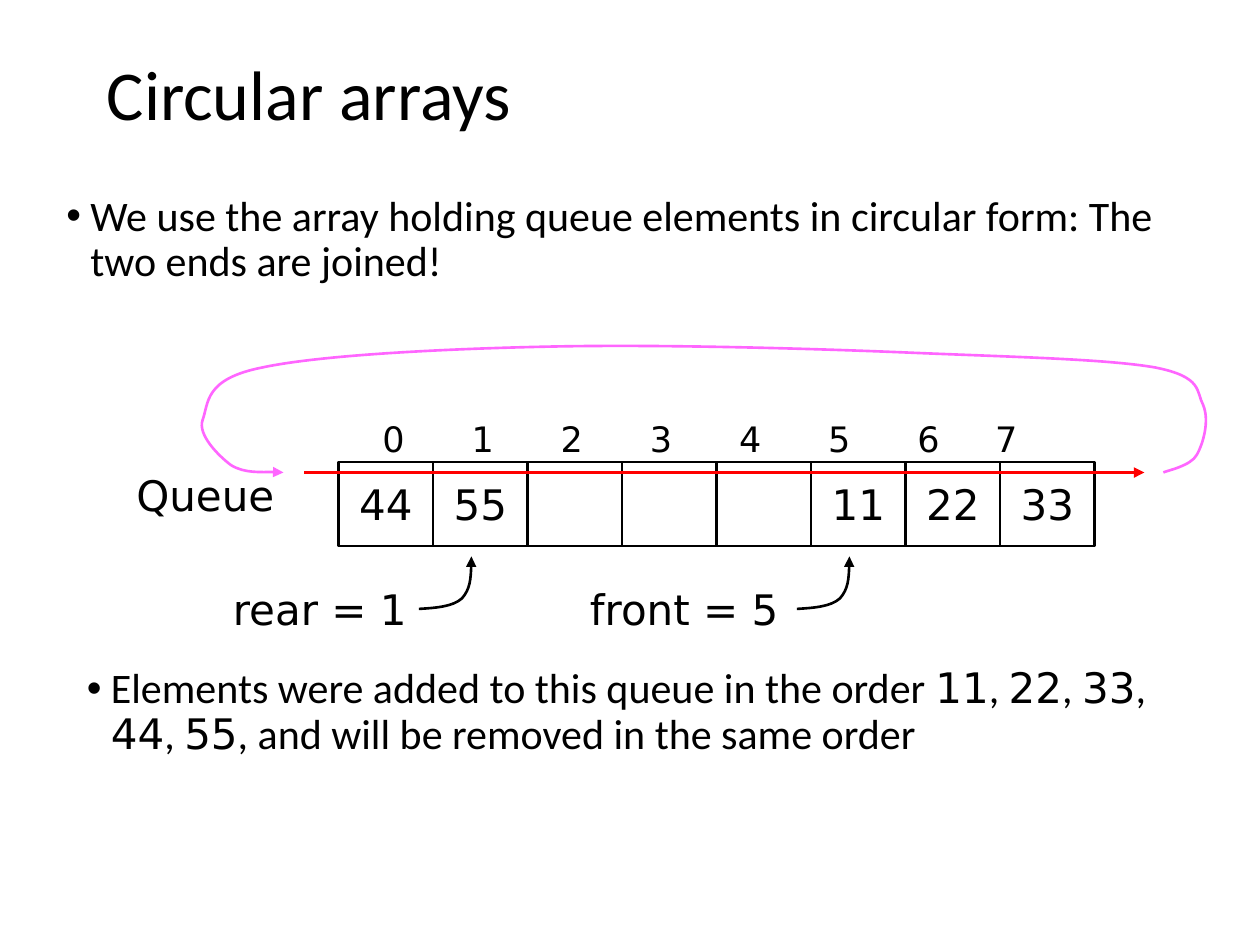
from lxml import etree
from pptx import Presentation
from pptx.dml.color import RGBColor
from pptx.enum.shapes import MSO_CONNECTOR, MSO_SHAPE
from pptx.enum.text import MSO_ANCHOR, PP_ALIGN
from pptx.oxml.ns import qn
from pptx.util import Inches, Pt

RECTANGLE = MSO_SHAPE.RECTANGLE
STRAIGHT = MSO_CONNECTOR.STRAIGHT
MIDDLE = MSO_ANCHOR.MIDDLE
CENTER = PP_ALIGN.CENTER
COLORS = {"ink": "000000", "paper": "FFFFFF", "flow": "FF0000", "wrap": "FF66FF"}
SANS, MONO = "Calibri", "DejaVu Sans"

presentation = Presentation()
presentation.slide_width = Inches(10)
presentation.slide_height = Inches(7.5)
slide = presentation.slides.add_slide(presentation.slide_layouts[6])

# Square grid of 120 columns by 90 rows
UNIT = presentation.slide_width / 120


def write(shape, runs, size):
    """Add (text, font) runs to the first paragraph of a shape."""
    paragraph = shape.text_frame.paragraphs[0]
    for text, font in runs:
        run = paragraph.add_run()
        run.text = text
        run.font.name = font
        run.font.size = Pt(size)
        run.font.color.rgb = RGBColor.from_string(COLORS["ink"])
    return paragraph


def style_arrow(shape, color, width):
    """Colour a line, drop its shadow and give it an arrowhead."""
    shape.line.color.rgb = RGBColor.from_string(COLORS[color])
    shape.line.width = Pt(width)
    line = shape.line._get_or_add_ln()
    etree.SubElement(line, qn("a:tailEnd"), type="triangle")
    etree.SubElement(line.getparent(), qn("a:effectLst"))


# Text boxes: left, top, width, height, runs, size
ordered_runs = [("Elements were added to this queue in the order ", SANS)]
for number in ("11", "22", "33", "44"):
    ordered_runs += [(number, MONO), (", ", SANS)]
ordered_runs += [("55", MONO), (", and will be removed in the same order", SANS)]

boxes = {
    "title": (9, 5, 102, 8.65, [("Circular arrays", SANS)], 40),
    "idea": (5.15, 18, 106.8, 12, [(
        "We use the array holding queue elements in circular form: "
        "The two ends are joined!", SANS)], 24),
    "order": (7.1, 63, 103.9, 23, ordered_runs, 24),
    "indexes": (35.25, 39.2, 69.75, 5.2,
                [("\t".join(str(index) for index in range(8)), MONO)], 20),
    "queue": (11.8, 44.1, 16, 6, [("Queue", MONO)], 24),
    "rear": (21, 55, 22, 6, [("rear = 1", MONO)], 24),
    "front": (55, 55, 22, 6, [("front = 5", MONO)], 24),
}
paragraphs = {}
for name, (left, top, width, height, runs, size) in boxes.items():
    box = slide.shapes.add_textbox(*(int(n * UNIT) for n in (left, top, width, height)))
    box.text_frame.word_wrap = True
    paragraphs[name] = write(box, runs, size)
    if name == "title":
        box.text_frame.vertical_anchor = MIDDLE
        paragraphs[name].line_spacing = 0.9

# Bullets
for name in ("idea", "order"):
    paragraph = paragraphs[name]
    paragraph.line_spacing = 0.9
    paragraph.space_before = Pt(7.5)
    properties = paragraph._p.get_or_add_pPr()
    properties.set("marL", str(Inches(0.19)))
    properties.set("indent", str(-Inches(0.19)))
    etree.SubElement(properties, qn("a:buFont"), typeface="Arial")
    etree.SubElement(properties, qn("a:buChar"), char="•")

# Tab stops space the indexes; the last one sits closer
tabs = etree.SubElement(paragraphs["indexes"]._p.get_or_add_pPr(), qn("a:tabLst"))
for stop in [8.49 * index for index in range(1, 7)] + [58.35]:
    etree.SubElement(tabs, qn("a:tab"), pos=str(int(stop * UNIT)), algn="l")

# Array cells
CELL_LEFT, CELL_TOP, CELL_WIDTH, CELL_HEIGHT = 32.25, 44, 9, 8
for index, value in enumerate(["44", "55", "", "", "", "11", "22", "33"]):
    cell = slide.shapes.add_shape(
        RECTANGLE, int((CELL_LEFT + index * CELL_WIDTH) * UNIT), int(CELL_TOP * UNIT),
        int(CELL_WIDTH * UNIT), int(CELL_HEIGHT * UNIT))
    cell.shadow.inherit = False
    cell.line.color.rgb = RGBColor.from_string(COLORS["ink"])
    cell.line.width = Pt(1.5)
    if value:
        cell.fill.solid()
        cell.fill.fore_color.rgb = RGBColor.from_string(COLORS["paper"])
        cell.text_frame.word_wrap = False
        cell.text_frame.vertical_anchor = MIDDLE
        write(cell, [(value, MONO)], 24).alignment = CENTER
    else:
        cell.fill.background()

# Direction of the array
flow = slide.shapes.add_connector(
    STRAIGHT, *(int(n * UNIT) for n in (29, 45, 109, 45)))
style_arrow(flow, "flow", 2)

# Curved arrows: a start point, then three Bezier points per segment
hook = [(-5, 5), (-3.4, 4.9), (-1.8, 4.8), (-0.9, 4), (-0.1, 3.1), (0, 1.5), (0, 0)]
curves = [
    ([(CELL_LEFT + index * CELL_WIDTH + 3.65 + x, 53 + y) for x, y in hook], "ink")
    for index in (1, 5)
]
curves.append(([
    (110.8, 45),
    (111.2, 44.8), (113.4, 44.4), (114, 43.3),
    (114.6, 42.2), (115.2, 40.1), (114.6, 38.6),
    (113.9, 37.3), (114.6, 35.9), (110, 35),
    (105.4, 34.2), (96.5, 34), (86.9, 33.6),
    (77.4, 33.2), (63.4, 32.8), (53, 33),
    (42.7, 33.2), (30.6, 33.8), (25, 35),
    (19.4, 36.1), (19.9, 38.4), (19.3, 40),
    (18.8, 41.4), (20.8, 43.4), (22, 44.3),
    (23.3, 45.1), (25.9, 44.9), (27, 45),
], "wrap"))
for points, color in curves:
    (start_x, start_y), *others = [(int(x * UNIT), int(y * UNIT)) for x, y in points]
    builder = slide.shapes.build_freeform(start_x, start_y)
    builder.add_line_segments(others, close=False)
    curve = builder.convert_to_shape()
    # Turn each three straight steps into one cubic segment
    steps = list(curve._element.iter(qn("a:lnTo")))
    for first in range(0, len(steps), 3):
        segment = etree.Element(qn("a:cubicBezTo"))
        steps[first].addprevious(segment)
        for step in steps[first:first + 3]:
            segment.append(step[0])
            step.getparent().remove(step)
    curve.fill.background()
    style_arrow(curve, color, 1.5)

presentation.save("out.pptx")
